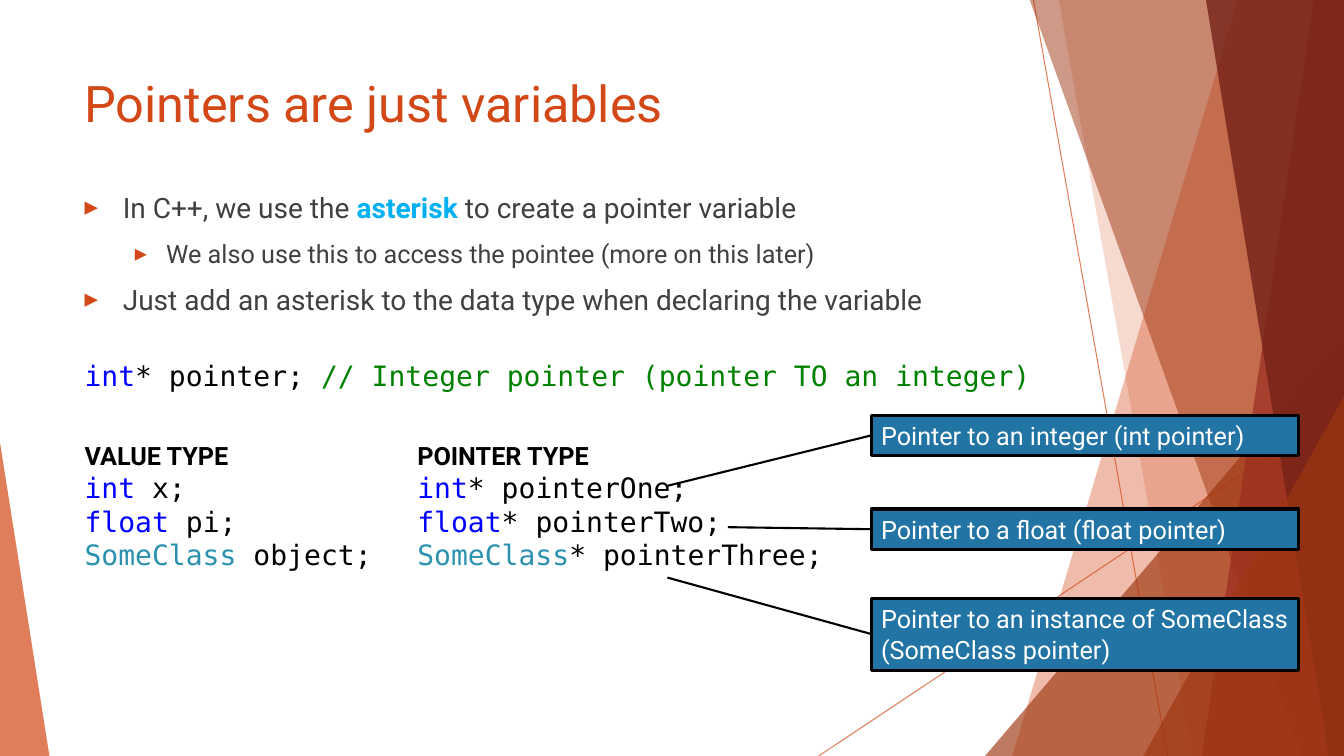
import pptx
import pptx.util
import pptx.dml.color
import pptx.enum.shapes
import pptx.enum.text
import pptx.oxml.ns
from lxml import etree

PX = 9144  # EMU per px, 100 px to the inch
WIDTH, HEIGHT = 1333, 750
COLORS = {
    "orange": "D34817", "rust": "9E3611", "red": "9B2D1F", "maroon": "742217",
    "gray": "404040", "cyan": "00B0F0", "black": "000000", "white": "FFFFFF",
    "keyword": "0000FF", "comment": "008000", "class": "2B91AF", "callout": "2274A5",
}
SANS, MONO = "Roboto", "DejaVu Sans Mono"
SHAPES = pptx.enum.shapes.MSO_SHAPE
qn = pptx.oxml.ns.qn


def paint(color_format, color, opacity=100):
    """Set a solid fill or line colour with its opacity in percent."""
    color_format.solid()
    color_format.fore_color.rgb = pptx.dml.color.RGBColor.from_string(COLORS[color])
    if opacity < 100:
        node = color_format._xPr.find(qn("a:solidFill"))[0]
        etree.SubElement(node, qn("a:alpha"), val=str(opacity * 1000))


def write(shape, paragraphs):
    """Fill a shape with paragraphs of (size, font, [(text, colour, bold), ...])."""
    frame = shape.text_frame
    frame.word_wrap = True
    frame.vertical_anchor = pptx.enum.text.MSO_ANCHOR.TOP
    for index, (size, font, runs) in enumerate(paragraphs):
        paragraph = frame.add_paragraph() if index else frame.paragraphs[0]
        paragraph.alignment = pptx.enum.text.PP_ALIGN.LEFT
        paragraph.font.size = pptx.util.Pt(size)
        paragraph.font.name = font
        for text, color, bold in runs:
            run = paragraph.add_run()
            run.text = text
            run.font.bold = bold
            run.font.color.rgb = pptx.dml.color.RGBColor.from_string(COLORS[color])
    return frame


presentation = pptx.Presentation()
presentation.slide_width = WIDTH * PX
presentation.slide_height = HEIGHT * PX
slide = presentation.slides.add_slide(presentation.slide_layouts[6])
shapes = slide.shapes

# Backdrop pieces from back to front; a band runs from its top left x to its bottom left x
backdrop = [
    ("line", (1025, 0, 1158, 750), "orange", 70),
    ("line", (1333, 403, 812, 750), "orange", 70),
    ("band", (1228, 1004), "orange", 36),
    ("band", (1050, 1183), "orange", 20),
    ("triangle", (977, 333, 356, 417), "rust", 66),
    ("band", (1021, 1291), "rust", 50),
    ("band", (1303, 1192), "red", 70),
    ("band", (1196, 1318), "maroon", 80),
    ("triangle", (1134, 393, 199, 357), "rust", 66),
    ("triangle", (0, 439, 49, 311), "orange", 70),
]
# Callouts: top, height, lines of text, start of the leader
callouts = [
    (412, 40, ["Pointer to an integer (int pointer)"], (662, 482)),
    (505, 40, ["Pointer to a float (float pointer)"], (722, 523)),
    (594, 71, ["Pointer to an instance of SomeClass", "(SomeClass pointer)"], (662, 573)),
]
CALLOUT_LEFT, CALLOUT_WIDTH = 864, 424

for kind, place, color, opacity in backdrop:
    if kind == "line":
        shape = shapes.add_connector(
            pptx.enum.shapes.MSO_CONNECTOR.STRAIGHT, *[value * PX for value in place])
        shape.line.width = pptx.util.Pt(0.75)
        paint(shape.line.fill, color, opacity)
        etree.SubElement(shape._element.spPr, qn("a:effectLst"))
        continue
    if kind == "band":
        top_left, bottom_left = place
        builder = shapes.build_freeform(top_left, -1, scale=PX)
        builder.add_line_segments([(WIDTH, -1), (WIDTH, HEIGHT), (bottom_left, HEIGHT)])
        shape = builder.convert_to_shape()
    else:
        shape = shapes.add_shape(
            SHAPES.ISOSCELES_TRIANGLE, *[value * PX for value in place])
        shape.adjustments[0] = 1 if place[0] else 0
    paint(shape.fill, color, opacity)
    shape.line.fill.background()
    shape.shadow.inherit = False

# Title, bullets and code
text_boxes = {
    "title": ((74, 67, 940, 93), [
        (36, SANS, [("Pointers are just variables", "orange", False)])]),
    "bullets": ((74, 184, 940, 98), [
        (20, SANS, [("In C++, we use the ", "gray", False), ("asterisk ", "cyan", True),
                    ("to create a pointer variable", "gray", False)]),
        (18, SANS, [("We also use this to access the pointee (more on this later)",
                     "gray", False)]),
        (20, SANS, [("Just add an asterisk to the data type when declaring the variable",
                     "gray", False)])]),
    "declaration": ((74, 351, 1053, 44), [
        (20, MONO, [("int", "keyword", False), ("* pointer; ", "black", False),
                    ("// Integer pointer (pointer TO an integer)", "comment", False)])]),
}
code_columns = [
    ("VALUE TYPE", (74, 432, 330, 141), [" x;", " pi;", " object;"]),
    ("POINTER TYPE", (404, 432, 458, 141),
     ["* pointerOne;", "* pointerTwo;", "* pointerThree;"]),
]
types = [("int", "keyword"), ("float", "keyword"), ("SomeClass", "class")]
for heading, place, names in code_columns:
    text_boxes[heading] = (place, [(18, SANS, [(heading, "black", True)])] + [
        (20, MONO, [(type_name, color, False), (name, "black", False)])
        for (type_name, color), name in zip(types, names)])

frames = {}
for box_name, (place, paragraphs) in text_boxes.items():
    box = shapes.add_textbox(*[value * PX for value in place])
    frames[box_name] = write(box, paragraphs)

# Bullet marks: level, left margin and hanging indent
for paragraph, (level, margin, hang) in zip(
        frames["bullets"].paragraphs, [(0, 38, 38), (1, 81, 31), (0, 38, 38)]):
    paragraph.level = level
    paragraph.space_before = pptx.util.Pt(10)
    properties = paragraph._p.get_or_add_pPr()
    properties.set("marL", str(margin * PX))
    properties.set("indent", str(-hang * PX))
    marks = [etree.Element(qn(tag)) for tag in ("a:buClr", "a:buSzPct", "a:buFont", "a:buChar")]
    etree.SubElement(marks[0], qn("a:srgbClr"), val=COLORS["orange"])
    marks[1].set("val", "80000")
    marks[2].set("typeface", MONO)
    marks[3].set("char", "▶")
    defaults = properties.find(qn("a:defRPr"))
    for mark in marks:
        defaults.addprevious(mark)

# Callouts with their leaders
for top, height, lines, (start_x, start_y) in callouts:
    callout = shapes.add_shape(
        SHAPES.RECTANGLE, CALLOUT_LEFT * PX, top * PX, CALLOUT_WIDTH * PX, height * PX)
    callout.shadow.inherit = False
    paint(callout.fill, "callout")
    paint(callout.line.fill, "black")
    callout.line.width = pptx.util.Pt(2.25)
    frame = write(callout, [(18, SANS, [(line, "white", False)]) for line in lines])
    frame.margin_right = 5 * PX
    leader = shapes.add_connector(
        pptx.enum.shapes.MSO_CONNECTOR.STRAIGHT, start_x * PX, start_y * PX,
        CALLOUT_LEFT * PX, (top + height // 2) * PX)
    paint(leader.line.fill, "black")
    leader.line.width = pptx.util.Pt(1.5)
    etree.SubElement(leader._element.spPr, qn("a:effectLst"))

presentation.save("out.pptx")
